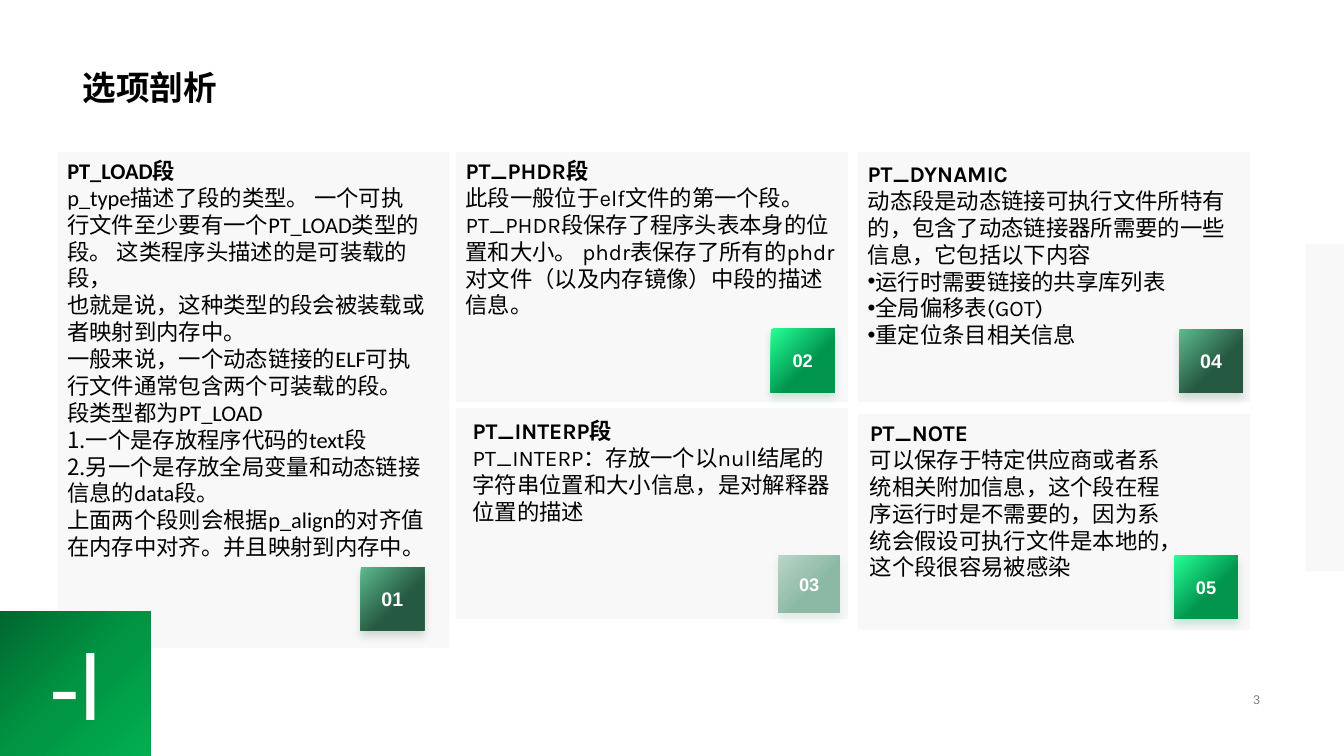
from lxml import etree
from pptx import Presentation
from pptx.dml.color import RGBColor
from pptx.enum.shapes import MSO_SHAPE
from pptx.enum.text import MSO_ANCHOR, MSO_AUTO_SIZE, PP_ALIGN
from pptx.oxml.ns import qn
from pptx.util import Pt

RECT = MSO_SHAPE.RECTANGLE
MIDDLE, BOTTOM = MSO_ANCHOR.MIDDLE, MSO_ANCHOR.BOTTOM
CENTER, RIGHT = PP_ALIGN.CENTER, PP_ALIGN.RIGHT
GROW = MSO_AUTO_SIZE.SHAPE_TO_FIT_TEXT

COLORS = {"black": "000000", "white": "FFFFFF", "gray": "808080"}
GRADS = {
    "dark": [(0, "5EBA8F"), (60, "265941")],
    "vivid": [(0, "26FF97"), (60, "00944D")],
    "pale": [(0, "B9D5C8"), (60, "8BB9A4")],
    "corner": [(0, "00682F"), (50, "009443"), (100, "00B050")],
}

prs = Presentation()
prs.slide_width, prs.slide_height = Pt(960), Pt(540)
slide = prs.slides.add_slide(prs.slide_layouts[6])
shapes = slide.shapes


def add_rect(box, grad=None):
    """Add a borderless rectangle: a pale gray panel, or a gradient tile."""
    rect = shapes.add_shape(RECT, *map(Pt, box))
    rect.line.fill.background()
    rect.shadow.inherit = False
    props = rect._element.spPr
    if grad:
        rect.fill.gradient()
        rect.fill.gradient_angle = 315
        stops = props.find(".//" + qn("a:gsLst"))
        stops.clear()
        for pos, color in GRADS[grad]:
            stop = etree.SubElement(stops, qn("a:gs"), pos=str(pos * 1000))
            etree.SubElement(stop, qn("a:srgbClr"), val=color)
    else:
        rect.fill.solid()
        rect.fill.fore_color.rgb = RGBColor.from_string(COLORS["gray"])
        tint = props.find(".//" + qn("a:srgbClr"))
        etree.SubElement(tint, qn("a:alpha"), val="5000")
    return rect


def write(shape, lines, size, color, font="Arial", bold=False, align=None, anchor=None):
    """Fill a shape with (mark, text) lines; the first line may be bold."""
    frame = shape.text_frame
    frame.word_wrap = True
    frame.vertical_anchor = anchor
    for i, (mark, text) in enumerate(lines):
        para = frame.paragraphs[0] if i == 0 else frame.add_paragraph()
        para.alignment = align
        props = para._p.get_or_add_pPr()
        if mark == "1.":
            etree.SubElement(props, qn("a:buAutoNum"), type="arabicPeriod")
        elif mark:
            etree.SubElement(props, qn("a:buFont"), typeface="Arial")
            etree.SubElement(props, qn("a:buChar"), char=mark)
        run = para.add_run()
        run.text = text
        style = {"size": Pt(size), "name": font, "bold": bold and i == 0}
        for key, value in style.items():
            setattr(run.font, key, value)
        run.font.color.rgb = RGBColor.from_string(COLORS[color])


# Gray panels
WIDE = 280.1
LEFT, MID, LAST = 41, 325.5, 612.7
TOP = 108.7
panels = [
    (LEFT, TOP, WIDE, 354.2),
    (MID, TOP, WIDE, 178.6),
    (MID, 291.6, WIDE, 150.5),
    (LAST, TOP, WIDE, 178.6),
    (LAST, 295.9, WIDE, 154.1),
    (932.4, 174.2, 184.3, 234),
]
for box in panels:
    add_rect(box)

# Title and page number
title = shapes.add_textbox(Pt(51.8), 0, Pt(855.4), Pt(80.6))
write(title, [("", "选项剖析")], 24, "black", bold=True, anchor=BOTTOM)
title.text_frame.paragraphs[0].line_spacing = 0.9
page = shapes.add_textbox(Pt(706.3), Pt(491), Pt(200.9), Pt(16.6))
write(page, [("", "3")], 9, "gray", align=RIGHT, anchor=MIDDLE)

# Section texts
notes = [
    ((LEFT, TOP, 270, 298.1), "Calibri", [
        ("", "PT_LOAD段"),
        ("", "p_type描述了段的类型。 一个可执行文件至少要有一个PT_LOAD类型的段。 这类程序头描述的是可装载的段，"),
        ("", "也就是说，这种类型的段会被装载或者映射到内存中。"),
        ("", "一般来说，一个动态链接的ELF可执行文件通常包含两个可装载的段。 段类型都为PT_LOAD"),
        ("1.", "一个是存放程序代码的text段"),
        ("1.", "另一个是存放全局变量和动态链接信息的data段。"),
        ("", "上面两个段则会根据p_align的对齐值在内存中对齐。并且映射到内存中。"),
    ]),
    ((MID, TOP, WIDE, 123.8), "Karla", [
        ("", "PT_PHDR段"),
        ("", "此段一般位于elf文件的第一个段。PT_PHDR段保存了程序头表本身的位置和大小。 phdr表保存了所有的phdr对文件（以及内存镜像）中段的描述信息。"),
    ]),
    ((330.5, 294.5, 270, 85), "Karla", [
        ("", "PT_INTERP段"),
        ("", "PT_INTERP：存放一个以null结尾的字符串位置和大小信息，是对解释器位置的描述"),
    ]),
    ((LAST, 110.9, WIDE, 143.3), "Karla", [
        ("", "PT_DYNAMIC"),
        ("", "动态段是动态链接可执行文件所特有的，包含了动态链接器所需要的一些信息，它包括以下内容"),
        ("•", "运行时需要链接的共享库列表"),
        ("•", "全局偏移表(GOT)"),
        ("•", "重定位条目相关信息"),
    ]),
    ((614.2, 295.9, 226.8, 123.8), "Karla", [
        ("", "PT_NOTE"),
        ("", "可以保存于特定供应商或者系统相关附加信息，这个段在程序运行时是不需要的，因为系统会假设可执行文件是本地的，这个段很容易被感染"),
    ]),
]
for box, font, lines in notes:
    note = shapes.add_textbox(*map(Pt, box))
    write(note, lines, 16, "black", font, bold=True)
    note.text_frame.auto_size = GROW

# Numbered badges with a soft shadow
badges = [
    ((257.6, 405.2, 45.4, 45), "dark", 14),
    ((550.6, 234.9, 45.4, 45.4), "vivid", 13),
    ((556, 396.6, 44, 41), "pale", 13),
    ((842.4, 235.3, 45.4, 45), "dark", 14),
    ((838.8, 396.6, 45.4, 45.4), "vivid", 13),
]
for num, (box, grad, size) in enumerate(badges, 1):
    badge = add_rect(box, grad)
    effects = badge._element.spPr.find(qn("a:effectLst"))
    glow = etree.SubElement(
        effects, qn("a:outerShdw"), blurRad=str(Pt(6)), dist=str(Pt(4)),
        dir="5400000", algn="t", rotWithShape="0")
    tint = etree.SubElement(glow, qn("a:srgbClr"), val=GRADS[grad][-1][1])
    etree.SubElement(tint, qn("a:alpha"), val="20000")
    write(badge, [("", f"{num:02}")], size, "white", bold=True, align=CENTER, anchor=MIDDLE)

# Corner tile
corner = add_rect((0, 436.7, 107.3, 103.7), "corner")
write(corner, [("", "-l")], 66, "white", align=CENTER, anchor=MIDDLE)

prs.save("out.pptx")
